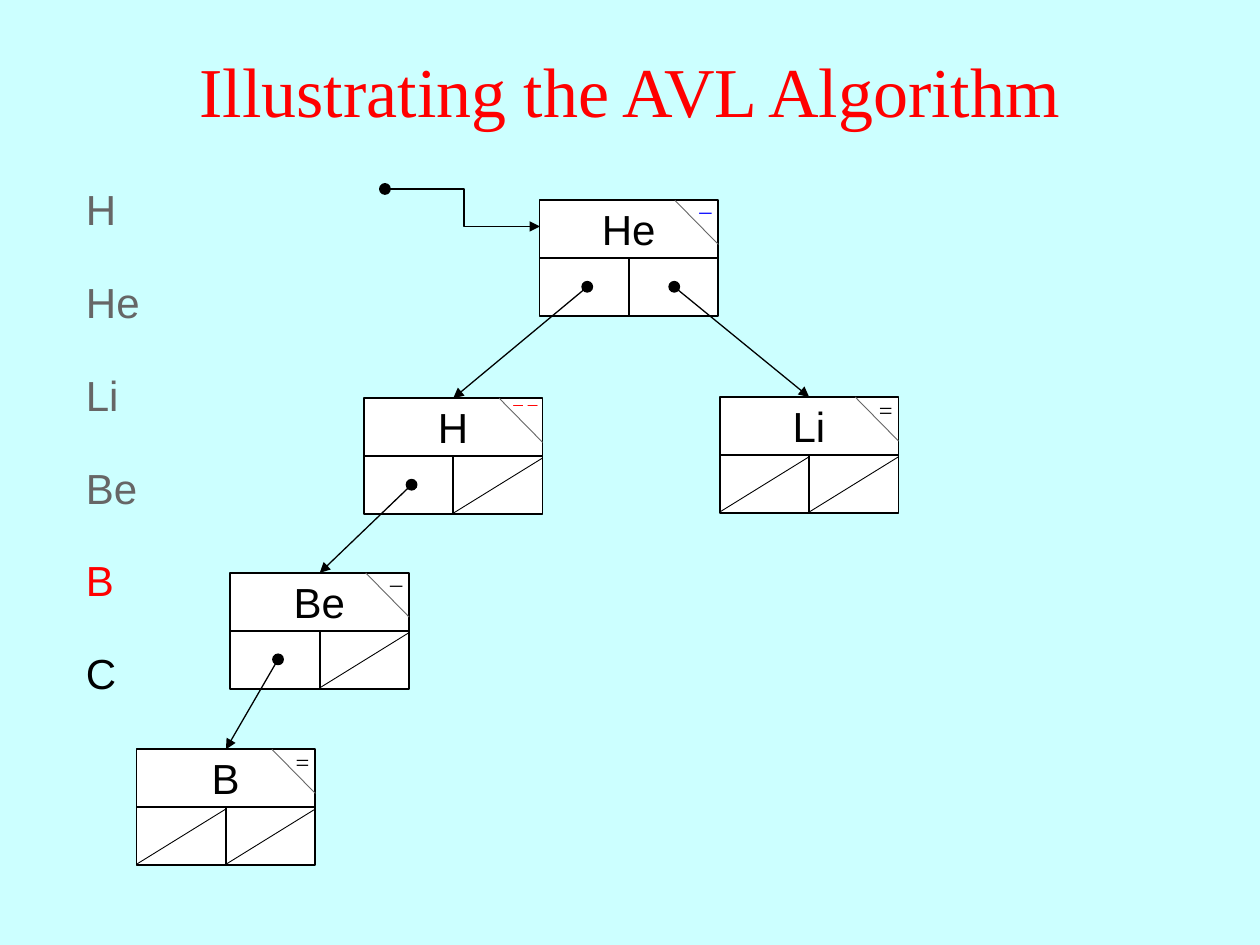
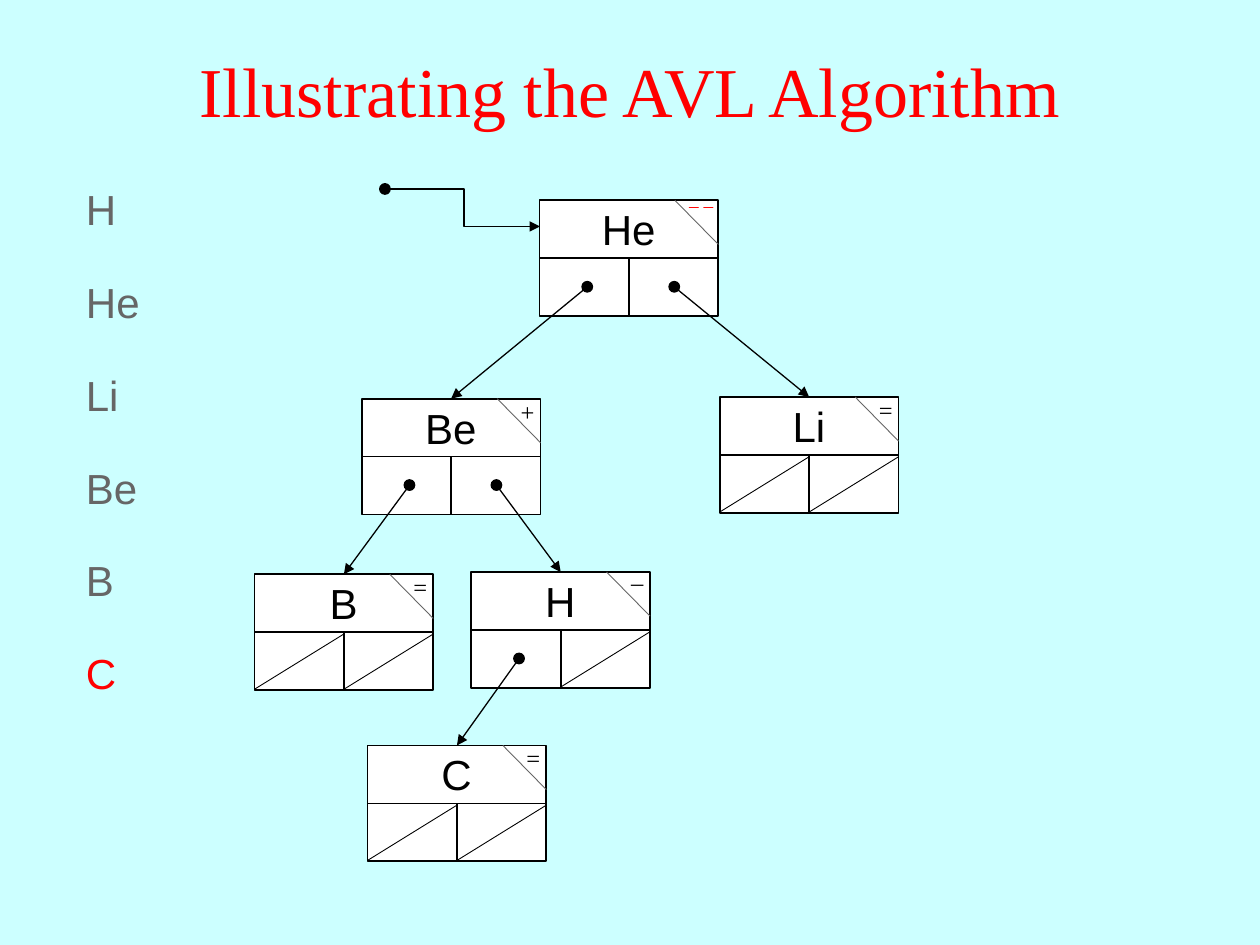
from pptx import Presentation
from pptx.dml.color import RGBColor as RGB
from pptx.enum.shapes import MSO_CONNECTOR as CON, MSO_SHAPE as GEO
from pptx.enum.text import MSO_ANCHOR as ANCHOR, MSO_AUTO_SIZE as AUTO, PP_ALIGN as ALIGN
from pptx.oxml.ns import qn
from pptx.util import Pt
from lxml.etree import SubElement as Sub

HUES = {"back": "CCFFFF", "red": "FF0000", "blue": "0000FF",
        "gray": "666666", "black": "000000", "white": "FFFFFF"}
SANS, SERIF = "Arial", "Times New Roman"
WORDS = ["H", "He", "Li", "Be", "B", "C"]

# Node size, and the place of the pointer dots inside a node
WIDE, HIGH = 102.2, 66.2
MID, HALF = WIDE / 2, HIGH / 2
DOTS, DROP = (27.3, 77), 49.4

# Each tree: name -> (x, y, balance, hue, left child, right child)
TREES = [
    {"He": (308.3, 114.5, "–", "blue", "H", "Li"),
     "H": (207.9, 227.6, "– –", "red", "Be", None),
     "Li": (411.3, 226.9, "=", "black", None, None),
     "Be": (131.6, 327.4, "–", "black", "B", None),
     "B": (78, 428.2, "=", "black", None, None)},
    {"He": (308.3, 114.5, "– –", "red", "Be", "Li"),
     "Be": (206.7, 227.8, "+", "black", "B", "H"),
     "Li": (411.3, 226.9, "=", "black", None, None),
     "B": (145.4, 328.2, "=", "black", None, None),
     "H": (269.3, 326.9, "–", "black", "C", None),
     "C": (210, 426, "=", "black", None, None)},
]


def hue(name):
    return RGB.from_string(HUES[name])


class Deck:
    def __init__(self):
        self.prs = Presentation()
        self.prs.slide_width, self.prs.slide_height = Pt(720), Pt(540)
        fill = self.prs.slide_master.background.fill
        fill.solid()
        fill.fore_color.rgb = hue("back")

    def page(self, title):
        slide = self.prs.slides.add_slide(self.prs.slide_layouts[6])
        self.shapes = slide.shapes
        box = self.text(title, 0, 6, 720, 90, 40, SERIF, "red")
        box.text_frame.auto_size = AUTO.NONE
        box.text_frame.vertical_anchor = ANCHOR.MIDDLE

    def text(self, words, x, y, w, h, size, face, tint, align=ALIGN.CENTER):
        box = self.shapes.add_textbox(Pt(x), Pt(y), Pt(w), Pt(h))
        frame = box.text_frame
        frame.word_wrap = True
        frame.auto_size = AUTO.SHAPE_TO_FIT_TEXT
        para = frame.paragraphs[0]
        para.text, para.alignment = words, align
        font = para.font
        font.size, font.name, font.color.rgb = Pt(size), face, hue(tint)
        return box

    def shape(self, kind, x, y, w, h, fill, width):
        item = self.shapes.add_shape(kind, Pt(x), Pt(y), Pt(w), Pt(h))
        item.shadow.inherit = False
        item.fill.solid()
        item.fill.fore_color.rgb = hue(fill)
        item.line.color.rgb = hue("black")
        item.line.width = Pt(width)
        return item

    def line(self, x1, y1, x2, y2, width=1, tint="black", kind=CON.STRAIGHT, arrow=False):
        item = self.shapes.add_connector(kind, Pt(x1), Pt(y1), Pt(x2), Pt(y2))
        item.line.color.rgb = hue(tint)
        item.line.width = Pt(width)
        props = item.element.spPr
        if arrow:
            Sub(props.find(qn("a:ln")), qn("a:tailEnd"), type="triangle")
        Sub(props, qn("a:effectLst"))
        return item

    def dot(self, x, y):
        self.shape(GEO.OVAL, x - 3, y - 3, 6, 6, "black", 0.75)

    def node(self, name, x, y, sign, tint, *kids):
        rect = self.shape(GEO.RECTANGLE, x, y, WIDE, HIGH, "white", 1)
        self.line(x, y + HALF, x + WIDE, y + HALF)
        self.line(x + MID, y + HALF, x + MID, y + HIGH)
        self.text(name, x + 20.9, y - 1.6, 60, 36, 24, SANS, "black")
        # Corner with the balance sign
        self.line(x + 77.4, y, x + WIDE, y + 25.2, 0.5, "gray")
        if sign == "– –":
            self.text(sign, x + 76.2, y - 7.6, 32.4, 21, 11, SERIF, tint)
        else:
            lift = 6.6 if sign == "–" else 4.7
            self.text(sign, x + 82.8, y - lift, 24, 24.5, 14, SERIF, tint)
        # A slash marks an empty pointer
        for side, kid in enumerate(kids):
            if not kid:
                left = x + side * MID
                self.line(left, y + HIGH - 0.5, left + MID, y + HALF + 1, 0.5)
        return rect

    def link(self, x, y, rect):
        self.dot(x, y)
        end = self.line(x, y, x, y + 50, 0.75, arrow=True)
        end.end_connect(rect, 0)

    def tree(self, nodes):
        # Pointer to the root
        self.dot(220, 108)
        self.line(221.8, 108, 308.6, 129.4, 0.75, kind=CON.ELBOW, arrow=True)
        rects = {name: self.node(name, *data) for name, data in nodes.items()}
        for x, y, _, _, *kids in nodes.values():
            for shift, kid in zip(DOTS, kids):
                if kid:
                    self.link(x + shift, y + DROP, rects[kid])

    def list(self, now):
        # Words done are gray, the current one is red
        for row, word in enumerate(WORDS):
            tint = "gray" if row < now else "red" if row == now else "black"
            self.text(word, 42, 101.6 + 53 * row, 48, 36, 24, SANS, tint, ALIGN.LEFT)


def main():
    deck = Deck()
    for step, nodes in enumerate(TREES):
        deck.page("Illustrating the AVL Algorithm")
        deck.list(WORDS.index("B") + step)
        deck.tree(nodes)
    deck.prs.save("out.pptx")


if __name__ == "__main__":
    main()
